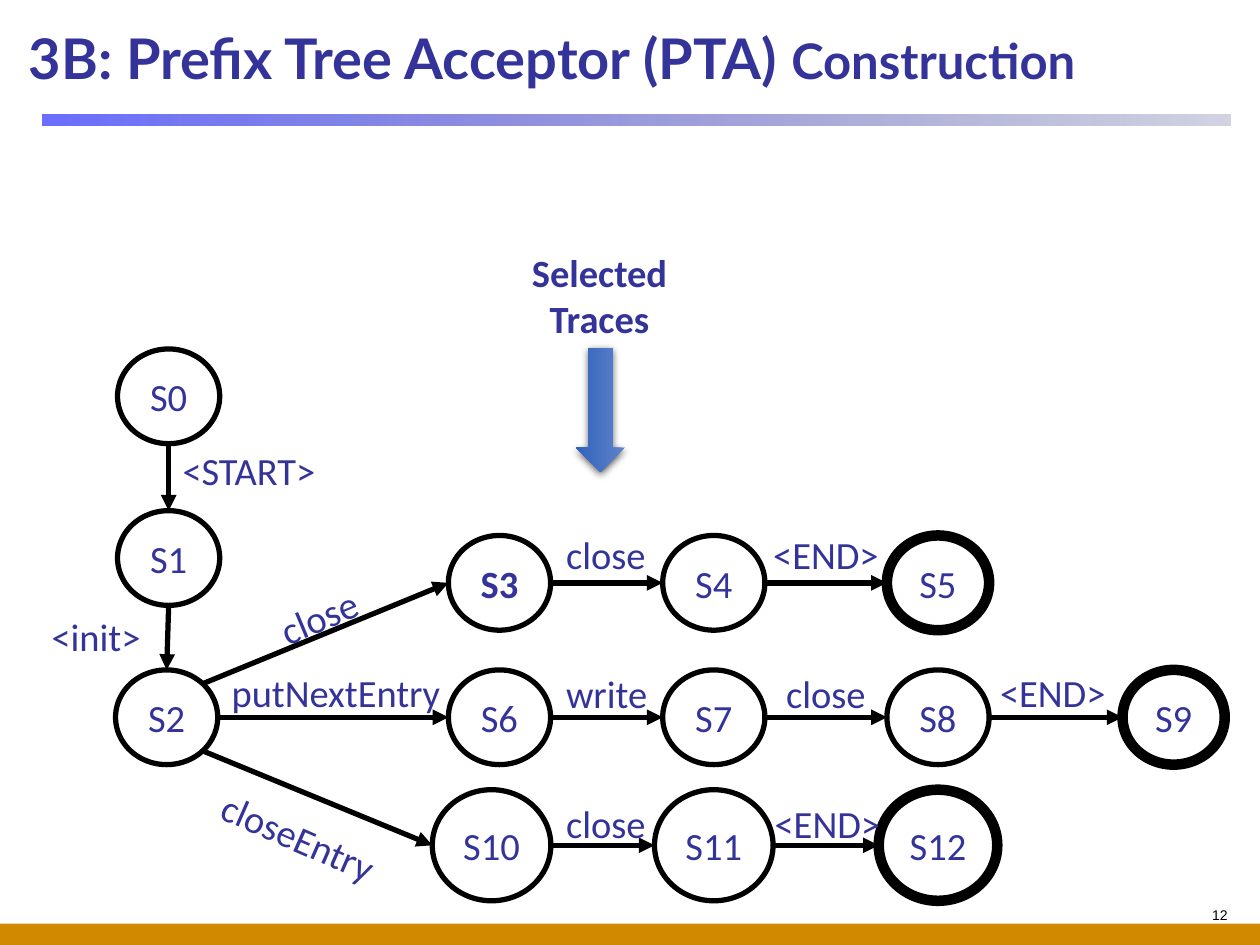
from pptx import Presentation
from pptx.dml.color import RGBColor
from pptx.enum.shapes import MSO_CONNECTOR, MSO_SHAPE
from pptx.enum.text import MSO_ANCHOR, PP_ALIGN
from pptx.oxml import parse_xml
from pptx.oxml.ns import nsdecls, qn
from pptx.util import Cm, Pt
from lxml import etree

LEFT, CENTER, RIGHT = PP_ALIGN.LEFT, PP_ALIGN.CENTER, PP_ALIGN.RIGHT
MIDDLE, TOP = MSO_ANCHOR.MIDDLE, MSO_ANCHOR.TOP
RECT, OVAL, ARROW = MSO_SHAPE.RECTANGLE, MSO_SHAPE.OVAL, MSO_SHAPE.RIGHT_ARROW
STRAIGHT = MSO_CONNECTOR.STRAIGHT

INDIGO = RGBColor(0x33, 0x33, 0x99)
BLACK = RGBColor(0, 0, 0)
WHITE = RGBColor(0xFF, 0xFF, 0xFF)
OCHRE = RGBColor(0xD1, 0x8A, 0x00)
RULE_START = RGBColor(0x46, 0x4A, 0xFC)
RULE_END = RGBColor(0x20, 0x22, 0x75)
ARROW_START = RGBColor(0x61, 0x83, 0xCB)
ARROW_END = RGBColor(0x30, 0x62, 0xBB)

BODY = {"name": "Calibri", "size": Pt(22), "color": INDIGO}
BOLD = {**BODY, "bold": True}
TITLE = {**BOLD, "name": "Lato", "size": Pt(32)}
SUBTITLE = {**TITLE, "size": Pt(28)}
NUMBER = {"name": "Arial", "size": Pt(8), "color": BLACK}

# Tree layout in cm: node sizes, column centres and row centres
SMALL, LARGE = (2.06, 1.91), (2.39, 2.24)
COLS = (10.07, 14.39, 18.91, 23.66)
ROWS = (11.75, 14.46, 17.04)
ACCEPTING = {"S5", "S9", "S12"}
BRANCHES = (("S3", "S4", "S5"), ("S6", "S7", "S8", "S9"), ("S10", "S11", "S12"))
DIAG = 0.71

# Text, left, top, width, alignment, rotation
LABELS = (
    ("<START>", 3.43, 8.89, 6.71, LEFT, 0),
    ("<init>", 0.79, 12.24, 4.65, LEFT, 0),
    ("close", 5.36, 11.84, 2.13, CENTER, 337.3),
    ("putNextEntry", 4.42, 13.36, 8.66, LEFT, 0),
    ("closeEntry", 4.11, 16.28, 3.81, CENTER, 23.7),
    ("close", 11.15, 10.59, 2.13, CENTER, 0),
    ("<END>", 15.09, 10.59, 3.12, CENTER, 0),
    ("write", 11.15, 13.39, 2.16, CENTER, 0),
    ("close", 15.34, 13.39, 2.62, CENTER, 0),
    ("<END>", 19.91, 13.36, 4.39, LEFT, 0),
    ("close", 11.15, 16, 2.13, CENTER, 0),
    ("<END>", 14.94, 16, 3.48, CENTER, 0),
)


def add_run(p, text, fmt):
    r = p.add_run()
    r.text = text
    for key, value in fmt.items():
        if key == "color":
            r.font.color.rgb = value
        else:
            setattr(r.font, key, value)


def add_text(slide, box, runs, align=LEFT, anchor=TOP, wrap=True, rotation=0):
    tb = slide.shapes.add_textbox(*map(Cm, box))
    tb.rotation = rotation
    tf = tb.text_frame
    tf.word_wrap, tf.vertical_anchor = wrap, anchor
    p = tf.paragraphs[0]
    p.alignment = align
    for text, fmt in runs:
        add_run(p, text, fmt)


def add_block(slide, kind, box, fill):
    sp = slide.shapes.add_shape(kind, *map(Cm, box))
    sp.shadow.inherit = False
    sp.line.fill.background()
    if isinstance(fill, RGBColor):
        sp.fill.solid()
        sp.fill.fore_color.rgb = fill
    else:
        sp.fill.gradient()
        sp.fill.gradient_angle = fill["angle"]
        for stop, color in zip(sp.fill.gradient_stops, fill["colors"]):
            stop.color.rgb = color
        for stop, position in zip(sp.fill.gradient_stops, (0, 1)):
            stop.position = position
    return sp


def set_alpha(sp, percents):
    for color, percent in zip(sp._element.spPr.iter(qn("a:srgbClr")), percents):
        etree.SubElement(color, qn("a:alpha")).set("val", str(percent * 1000))


def add_drop_shadow(sp):
    spPr = sp._element.spPr
    spPr.remove(spPr.find(qn("a:effectLst")))
    spPr.append(parse_xml(
        f'<a:effectLst {nsdecls("a")}><a:outerShdw blurRad="57150" dist="19050" '
        'dir="5400000" algn="ctr" rotWithShape="0"><a:srgbClr val="000000">'
        '<a:alpha val="63000"/></a:srgbClr></a:outerShdw></a:effectLst>'))


def add_node(slide, name, node):
    x, y, w, h = node
    sp = add_block(slide, OVAL, (x - w / 2, y - h / 2, w, h), WHITE)
    sp.line.color.rgb = BLACK
    sp.line.width = Pt(6 if name in ACCEPTING else 3)
    tf = sp.text_frame
    tf.vertical_anchor = MIDDLE
    margins = {"left": 0.18, "right": 0.18, "top": 0.1, "bottom": 0.1}
    for side, size in margins.items():
        setattr(tf, f"margin_{side}", Cm(size))
    p = tf.paragraphs[0]
    p.alignment = CENTER
    add_run(p, name, BOLD if name == "S3" else BODY)


def rim(node, dx, dy):
    """Point on the node's outline in the given direction."""
    x, y, w, h = node
    return Cm(x + dx * w / 2), Cm(y + dy * h / 2)


def add_edge(slide, start, end):
    cx = slide.shapes.add_connector(STRAIGHT, *start, *end)
    cx.line.color.rgb = BLACK
    cx.line.width = Pt(3)
    etree.SubElement(cx.line._get_or_add_ln(), qn("a:tailEnd")).set("type", "triangle")
    etree.SubElement(cx._element.spPr, qn("a:effectLst"))


def place_nodes():
    nodes = {"S0": (3.4, 7.99, *SMALL), "S1": (3.4, 11.25, *SMALL),
             "S2": (3.36, ROWS[1], *SMALL)}
    for y, names in zip(ROWS, BRANCHES):
        for x, name in zip(COLS, names):
            nodes[name] = (x, y, *(LARGE if len(name) > 2 else SMALL))
    nodes["S10"] = (9.91, ROWS[2], *LARGE)
    return nodes


def add_tree(slide):
    nodes = place_nodes()
    # Trunk, fan-out from S2, then the chain along each branch
    for a, b in (("S0", "S1"), ("S1", "S2")):
        add_edge(slide, rim(nodes[a], 0, 1), rim(nodes[b], 0, -1))
    for names, direction in zip(BRANCHES, ((DIAG, -DIAG), (1, 0), (DIAG, DIAG))):
        add_edge(slide, rim(nodes["S2"], *direction), rim(nodes[names[0]], -1, 0))
        for a, b in zip(names, names[1:]):
            add_edge(slide, rim(nodes[a], 1, 0), rim(nodes[b], -1, 0))
    for name, node in nodes.items():
        add_node(slide, name, node)
    for text, x, y, w, align, rotation in LABELS:
        add_text(slide, (x, y, w, 1.19), [(text, BODY)], align,
                 wrap=align == LEFT, rotation=rotation)


def main():
    prs = Presentation()
    prs.slide_width, prs.slide_height = Cm(25.4), Cm(19.05)
    slide = prs.slides.add_slide(prs.slide_layouts[6])

    # Footer band, title rule, title and page number
    add_block(slide, RECT, (0, 18.62, 25.4, 0.43), OCHRE)
    rule = add_block(slide, RECT, (0.86, 2.31, 23.95, 0.23),
                     {"angle": 0, "colors": (RULE_START, RULE_END)})
    set_alpha(rule, (80, 20))
    add_text(slide, (0.33, 0.33, 24.64, 1.63),
             [("3B: Prefix Tree Acceptor (PTA) ", TITLE), ("Construction", SUBTITLE)],
             anchor=MIDDLE)
    add_text(slide, (21.39, 18.16, 3.61, 0.84), [("12", NUMBER)], RIGHT)

    # Input arrow
    add_text(slide, (9.47, 4.9, 5.23, 2.13), [("Selected Traces", BOLD)], CENTER)
    arrow = add_block(slide, ARROW, (10.85, 7.77, 2.51, 0.99),
                      {"angle": 270, "colors": (ARROW_START, ARROW_END)})
    arrow.rotation = 90
    add_drop_shadow(arrow)

    add_tree(slide)
    prs.save("out.pptx")


if __name__ == "__main__":
    main()
